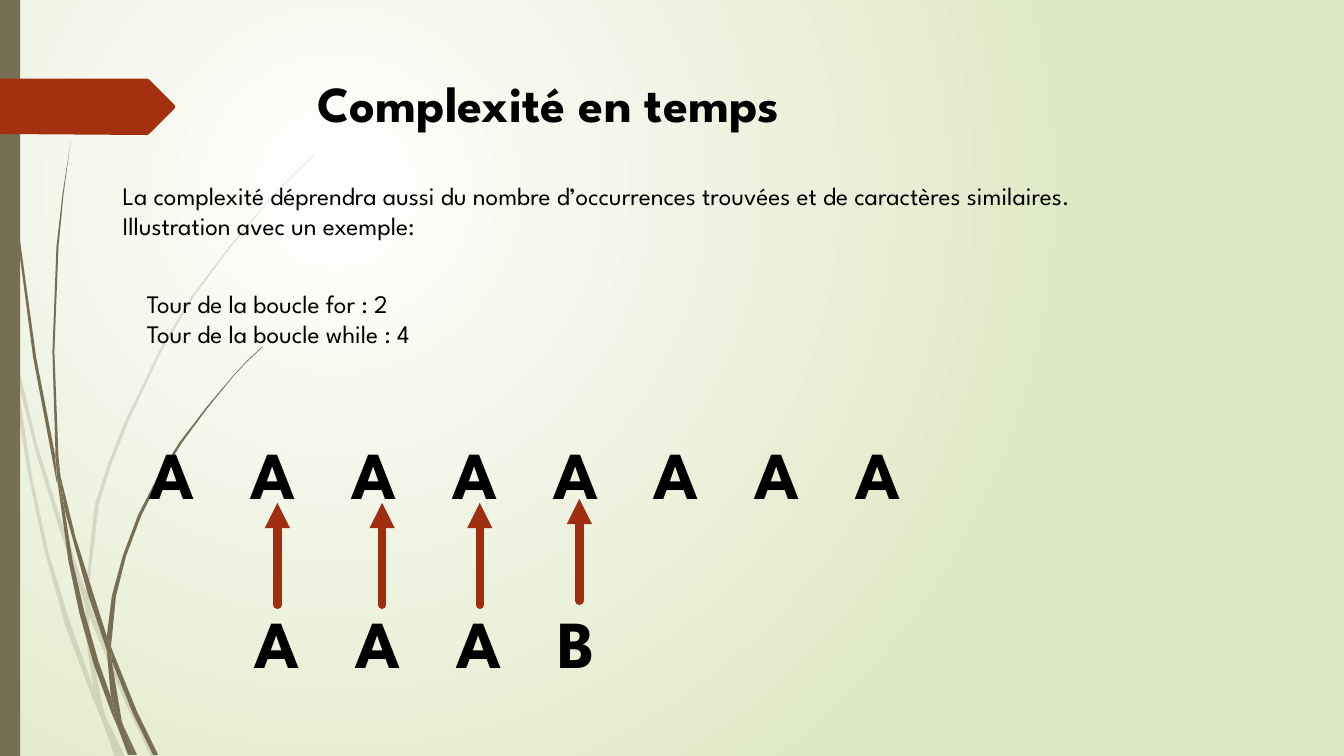
from dataclasses import dataclass

from lxml.etree import SubElement
from pptx import Presentation
from pptx.dml.color import RGBColor
from pptx.enum.shapes import MSO_CONNECTOR, MSO_SHAPE
from pptx.enum.text import MSO_ANCHOR, MSO_AUTO_SIZE, PP_ALIGN
from pptx.oxml.ns import qn
from pptx.shapes.autoshape import Shape
from pptx.slide import Slide
from pptx.util import Cm, Pt

COLORS = {
    "white": "FFFFFF",
    "pale_green": "DFE8C4",
    "stem": "766F54",
    "tag": "A53010",
    "arrow": "9E2E0F",
    "text": "000000",
}
FONT = "League Spartan"
OUTLINE_UNIT = Cm(0.0254)
LETTER_STEP = Cm(2.54)
ARROW_LENGTH = 2.57


@dataclass
class Outline:
    points: list[tuple[int, int]]
    color: str = "stem"
    opacity: int = 100


@dataclass
class TextBlock:
    left: float
    top: float
    width: float
    height: float
    lines: list[str]
    size: int = 18
    bold: bool = False
    tab_count: int = 0


@dataclass
class Arrow:
    x: float
    bottom: float = 15.24


FAINT_STEMS = [
    [(11, 350), (9, 322), (0, 282), (0, 299), (10, 344)],
    [(58, 522), (84, 599), (85, 586), (62, 520), (37, 442), (14, 345), (17, 376), (36, 450)],
    [(92, 607), (88, 596), (88, 610), (123, 694), (150, 751), (155, 751), (127, 692)],
    [(119, 751), (124, 751), (105, 711)],
    [(93, 683), (70, 619), (48, 548), (31, 469), (17, 376), (11, 350), (18, 410), (28, 470),
     (44, 546), (65, 621), (92, 693), (101, 714), (99, 707)],
    [(84, 599), (87, 646), (93, 683), (96, 692), (105, 711), (103, 706), (91, 646),
     (88, 610), (88, 608)],
    [(88, 584), (98, 501), (110, 462), (128, 417), (160, 349), (192, 295), (229, 245),
     (268, 198), (290, 175), (312, 154), (312, 153), (289, 175), (268, 197), (228, 244),
     (190, 294), (158, 348), (125, 416), (107, 461), (94, 501), (85, 584), (85, 586), (88, 596)],
    [(101, 714), (114, 751), (119, 751)],
    [(88, 608), (88, 596), (85, 586), (84, 599)],
    [(96, 692), (93, 683), (99, 707), (101, 714), (119, 751), (105, 711)],
]
SOLID_STEMS = [
    [(7, 110), (17, 233), (33, 355), (56, 477), (57, 481), (55, 457), (55, 453), (36, 355),
     (19, 232), (8, 109), (5, 48), (4, 0), (3, 0), (4, 48)],
    [(88, 592), (106, 645), (106, 631), (93, 590), (75, 533), (60, 472), (64, 505)],
    [(113, 649), (110, 641), (111, 656), (132, 708), (152, 749), (157, 749), (136, 706)],
    [(110, 691), (98, 657), (84, 608), (72, 556), (64, 505), (57, 477), (68, 557), (79, 609),
     (93, 659), (111, 708), (117, 722), (116, 717)],
    [(60, 472), (58, 453), (54, 349), (58, 245), (63, 193), (70, 141), (62, 193), (56, 245),
     (52, 349), (55, 449)],
    [(133, 749), (136, 749), (122, 719)],
    [(57, 477), (64, 505), (60, 472), (55, 449), (55, 453)],
    [(111, 633), (115, 592), (125, 552), (140, 512), (158, 476), (180, 440), (205, 406),
     (231, 374), (245, 359), (261, 344), (260, 344), (245, 358), (231, 373), (204, 405),
     (178, 439), (156, 474), (137, 511), (122, 551), (111, 591), (106, 631), (110, 641)],
    [(117, 722), (127, 749), (131, 749)],
    [(106, 645), (110, 691), (116, 706), (122, 719), (121, 716), (111, 656), (109, 651)],
    [(106, 645), (109, 651), (111, 656), (110, 641), (106, 631)],
    [(116, 706), (110, 691), (116, 717), (117, 722), (130, 749), (133, 749), (122, 719)],
]
TITLE_TAG = Outline(
    [(173, 108), (148, 133), (146, 134), (0, 133), (0, 78), (146, 78), (148, 79),
     (173, 104), (174, 106)],
    "tag",
)
TITLE = TextBlock(1.88, 1.7, 23.88, 2.26, ["Complexité en temps"], 36, True)
TEXT_BLOCKS = [
    TextBlock(2.84, 4.42, 29.13, 2.57, [
        "La complexité déprendra aussi du nombre d’occurrences trouvées et de caractères similaires.",
        "Illustration avec un exemple:",
    ]),
    TextBlock(3.53, 10.77, 27.15, 2.31, ["\t".join("AAAAAAAA")], 48, True, 7),
    TextBlock(6.17, 15.04, 9.47, 2.31, ["\t".join("AAAB")], 48, True, 3),
    TextBlock(3.45, 7.14, 20.55, 1.8, [
        "Tour de la boucle for : 2",
        "Tour de la boucle while : 4",
    ]),
]
ARROWS = [Arrow(6.99), Arrow(9.63), Arrow(12.09), Arrow(14.6, 15.14)]


def rgb(name: str) -> RGBColor:
    return RGBColor.from_string(COLORS[name])


def paint_background(slide: Slide) -> None:
    fill = slide.background.fill
    fill.gradient()
    for stop, name, position in zip(fill.gradient_stops, ("white", "pale_green"), (0, 1)):
        stop.color.rgb = rgb(name)
        stop.position = position
    gradient = slide.element.find(".//" + qn("a:gradFill"))
    gradient.remove(gradient.find(qn("a:lin")))
    circle = SubElement(gradient, qn("a:path"), {"path": "circle"})
    SubElement(circle, qn("a:fillToRect"), {"l": "50000", "t": "50000", "r": "100000", "b": "100000"})


def fill_shape(shape: Shape, color: str, opacity: int = 100) -> None:
    shape.shadow.inherit = False
    shape.line.fill.background()
    shape.fill.solid()
    shape.fill.fore_color.rgb = rgb(color)
    if opacity < 100:
        color_element = shape.element.spPr.find(".//" + qn("a:srgbClr"))
        SubElement(color_element, qn("a:alpha"), {"val": str(opacity * 1000)})


def draw_outline(slide: Slide, outline: Outline) -> None:
    start, *others = outline.points
    builder = slide.shapes.build_freeform(*start, scale=OUTLINE_UNIT)
    builder.add_line_segments(others, close=True)
    fill_shape(builder.convert_to_shape(), outline.color, outline.opacity)


def write_text(shape: Shape, lines: list[str], *, size: int, bold: bool,
               alignment: PP_ALIGN = PP_ALIGN.LEFT, tab_count: int = 0) -> None:
    frame = shape.text_frame
    frame.word_wrap = True
    frame.auto_size = MSO_AUTO_SIZE.NONE
    frame.vertical_anchor = MSO_ANCHOR.TOP
    for index, line in enumerate(lines):
        paragraph = frame.add_paragraph() if index else frame.paragraphs[0]
        paragraph.alignment = alignment
        if tab_count:
            tabs = SubElement(paragraph._p.get_or_add_pPr(), qn("a:tabLst"))
            for number in range(1, tab_count + 1):
                SubElement(tabs, qn("a:tab"), {"pos": str(number * LETTER_STEP), "algn": "l"})
        run = paragraph.add_run()
        run.text = line
        run.font.name = FONT
        run.font.size = Pt(size)
        run.font.bold = bold
        run.font.color.rgb = rgb("text")


def place_title(slide: Slide, block: TextBlock) -> None:
    title = slide.shapes.title
    title.left, title.top = Cm(block.left), Cm(block.top)
    title.width, title.height = Cm(block.width), Cm(block.height)
    title.element.getparent().append(title.element)
    write_text(title, block.lines, size=block.size, bold=block.bold, alignment=PP_ALIGN.CENTER)


def draw_text_block(slide: Slide, block: TextBlock) -> None:
    box = slide.shapes.add_textbox(Cm(block.left), Cm(block.top), Cm(block.width), Cm(block.height))
    write_text(box, block.lines, size=block.size, bold=block.bold, tab_count=block.tab_count)


def draw_arrow(slide: Slide, arrow: Arrow) -> None:
    connector = slide.shapes.add_connector(
        MSO_CONNECTOR.STRAIGHT, Cm(arrow.x), Cm(arrow.bottom),
        Cm(arrow.x), Cm(arrow.bottom - ARROW_LENGTH))
    connector.line.color.rgb = rgb("arrow")
    connector.line.width = Pt(6)
    properties = connector.element.spPr
    line = properties.find(qn("a:ln"))
    line.set("cap", "rnd")
    SubElement(line, qn("a:tailEnd"), {"type": "triangle"})
    SubElement(properties, qn("a:effectLst"))


def main() -> None:
    presentation = Presentation()
    presentation.slide_width, presentation.slide_height = Cm(33.87), Cm(19.05)
    slide = presentation.slides.add_slide(presentation.slide_layouts[5])
    paint_background(slide)
    for points in FAINT_STEMS:
        draw_outline(slide, Outline(points, opacity=20))
    for points in SOLID_STEMS:
        draw_outline(slide, Outline(points))
    sidebar = slide.shapes.add_shape(MSO_SHAPE.RECTANGLE, 0, 0, Cm(0.51), Cm(19.05))
    fill_shape(sidebar, "stem")
    draw_outline(slide, TITLE_TAG)
    place_title(slide, TITLE)
    for block in TEXT_BLOCKS:
        draw_text_block(slide, block)
    for arrow in ARROWS:
        draw_arrow(slide, arrow)
    presentation.save("out.pptx")


if __name__ == "__main__":
    main()
